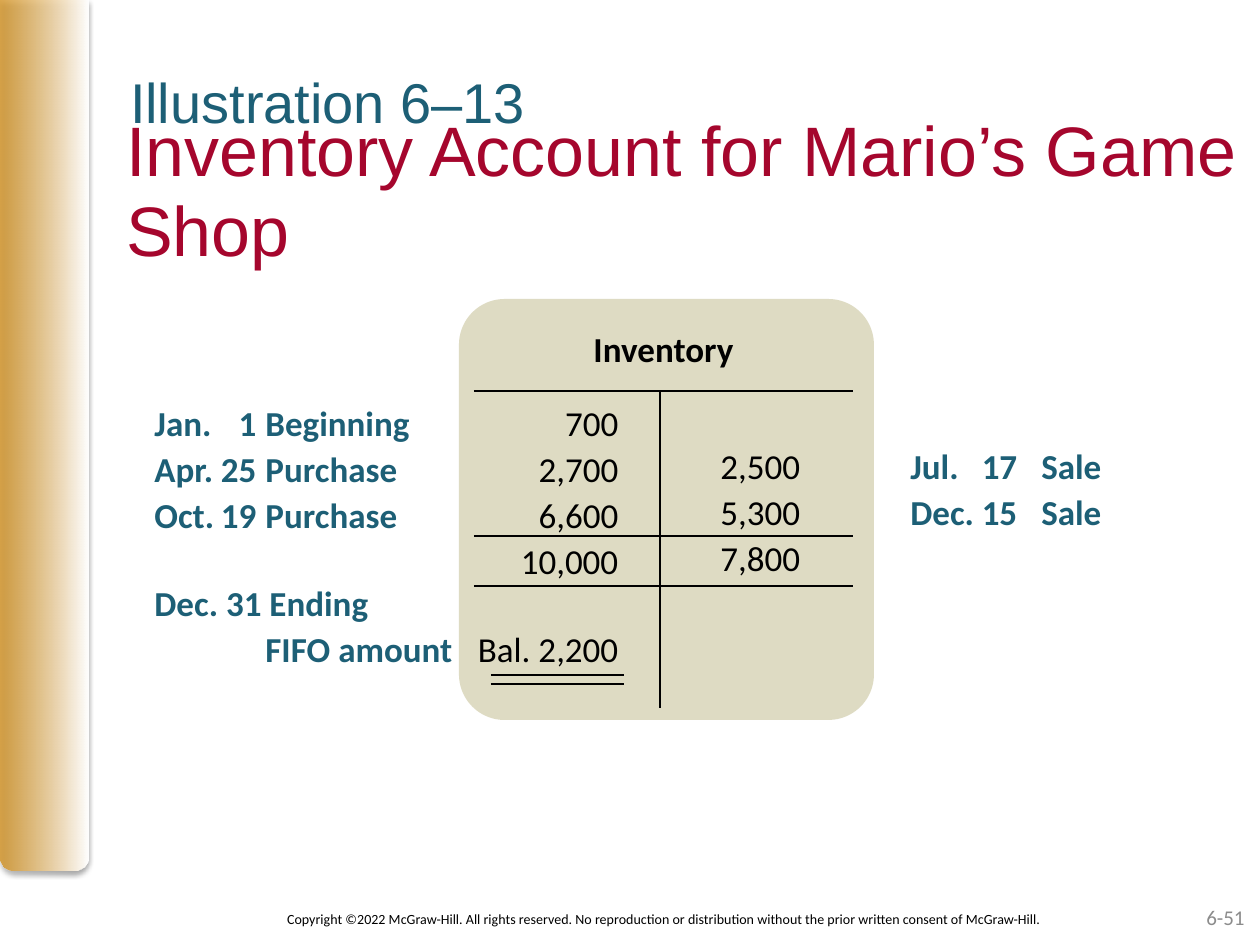
from lxml import etree
from pptx import Presentation
from pptx import util as u
from pptx.dml import color
from pptx.enum import shapes, text
from pptx.oxml import ns

SCALE = 914400 / 126
BLACK, TEAL, RED = "000000", "1D5F76", "A5062D"
LEFT, CENTER, RIGHT = text.PP_ALIGN.LEFT, text.PP_ALIGN.CENTER, text.PP_ALIGN.RIGHT


def px(n):
    """Turn px into EMU."""
    return u.Emu(round(n * SCALE))


def rgb(value):
    """Turn a hex string into a colour."""
    return color.RGBColor.from_string(value)


def sub(parent, tag, **attrs):
    """Append a DrawingML child element with attributes."""
    child = etree.SubElement(parent, ns.qn(tag))
    for name, value in attrs.items():
        child.set(name, str(value))
    return child


def add_run(p, content, size, hex_color, font="Calibri", bold=False):
    """Add one formatted run to a paragraph."""
    r = p.add_run()
    r.text = content
    r.font.size, r.font.name, r.font.bold = u.Pt(size), font, bold
    r.font.color.rgb = rgb(hex_color)


def text_box(s, x, y, w, h, inset=True):
    """Add a wrapping text box and return its frame."""
    tf = s.shapes.add_textbox(px(x), px(y), px(w), px(h)).text_frame
    tf.word_wrap = True
    if not inset:
        clear_insets(tf)
    return tf


def clear_insets(tf):
    """Remove the inner margins of a text frame."""
    tf.margin_left = tf.margin_right = tf.margin_top = tf.margin_bottom = 0


def label(s, box, content, size, hex_color, align, bold=False):
    """Add a one-line label."""
    tf = text_box(s, *box)
    tf.vertical_anchor = text.MSO_ANCHOR.MIDDLE
    tf.paragraphs[0].alignment = align
    add_run(tf.paragraphs[0], content, size, hex_color, bold=bold)


def ledger(s, box, rows, tabs):
    """Add ledger rows of (content, is_caption) runs aligned on tab stops."""
    tf = text_box(s, *box)
    for i, row in enumerate(rows):
        p = tf.add_paragraph() if i else tf.paragraphs[0]
        p.line_spacing = 1.1
        stops = sub(p._p.get_or_add_pPr(), "a:tabLst")
        for pos, align in tabs:
            sub(stops, "a:tab", pos=px(pos), algn=align)
        for content, caption in row:
            add_run(p, content, 20, TEAL if caption else BLACK, bold=caption)


def rule(s, x1, y1, x2, y2):
    """Draw a thin black line."""
    c = s.shapes.add_connector(shapes.MSO_CONNECTOR.STRAIGHT, px(x1), px(y1), px(x2), px(y2))
    c.line.color.rgb = rgb(BLACK)
    c.line.width = u.Pt(0.75)
    sub(c._element.spPr, "a:effectLst")


def side_band(s, x, y, w, h):
    """Draw the gold band with its soft shadow."""
    sp = s.shapes.add_shape(shapes.MSO_SHAPE.ROUND_2_SAME_RECTANGLE, px(x), px(y), px(w), px(h))
    sp._element.spPr.xfrm.set("flipV", "1")
    sp.line.fill.background()
    sp.fill.gradient()
    sp.fill.gradient_angle = 0
    for stop, value, pos in zip(sp.fill.gradient_stops, ("D49323", "FFFFFF"), (0, 1)):
        stop.color.rgb, stop.position = rgb(value), pos
    first = sp._element.spPr.find(".//" + ns.qn("a:srgbClr"))
    sub(first, "a:alpha", val=80000)
    effects = sub(sp._element.spPr, "a:effectLst")
    shadow = sub(effects, "a:outerShdw", blurRad=u.Pt(3.1), dist=u.Pt(1.8), dir=5400000, rotWithShape=0)
    sub(sub(shadow, "a:srgbClr", val=BLACK), "a:alpha", val=35000)


def heading(s, x, y, w, h):
    """Place the title and the illustration number above it."""
    title = s.shapes.title
    title.left, title.top, title.width, title.height = px(x), px(y), px(w), px(h)
    tf = title.text_frame
    clear_insets(tf)
    tf.word_wrap, tf.auto_size = True, text.MSO_AUTO_SIZE.NONE
    tf.vertical_anchor = text.MSO_ANCHOR.TOP
    p = tf.paragraphs[0]
    p.alignment, p.line_spacing = LEFT, 0.95
    add_run(p, "Inventory Account for Mario’s Game Shop", 40, RED, "Arial")
    number = text_box(s, x + 4, y - 46, 726, 58, inset=False)
    add_run(number.paragraphs[0], "Illustration 6–13", 32, TEAL, "Arial")


def account(s, x, y, w, h):
    """Draw the inventory T-account with captions on both sides."""
    panel = s.shapes.add_shape(shapes.MSO_SHAPE.ROUNDED_RECTANGLE, px(x), px(y), px(w), px(h))
    panel.shadow.inherit = False
    panel.adjustments[0] = 0.11
    panel.line.fill.background()
    panel.fill.solid()
    panel.fill.fore_color.rgb = rgb("D4D0B0")
    sub(panel._element.spPr.find(".//" + ns.qn("a:srgbClr")), "a:alpha", val=75000)

    label(s, (x + 15, y + 21, 379, 56), "Inventory", 20, BLACK, CENTER, bold=True)
    for dy in (92, 237, 287):
        rule(s, x + 15, y + dy, x + 394, y + dy)
    for dy in (376, 385):
        rule(s, x + 32, y + dy, x + 165, y + dy)
    rule(s, x + 201, y + 92, x + 201, y + 409)

    debits = [("Jan.\t1\tBeginning", "700"), ("Apr.\t25\tPurchase", "2,700"),
              ("Oct.\t19\tPurchase", "6,600")]
    rows = [[(caption, True), ("\t" + amount, False)] for caption, amount in debits]
    rows.append([("\t\t\t10,000", False)])
    ledger(s, (x - 317, y + 92, 500, 199), rows, [(102, "r"), (111, "l"), (464, "r")])

    credits = [("2,500", "\tJul.\t17\tSale"), ("5,300", "\tDec.\t15\tSale")]
    rows = [[(amount, False), (caption, True)] for amount, caption in credits]
    rows.append([("7,800", False)])
    ledger(s, (x + 249, y + 135, 489, 153), rows, [(190, "l"), (297, "r"), (321, "l")])

    rows = [[("Dec. 31 Ending", True)], [("\tFIFO amount", True), ("\tBal. 2,200", False)]]
    ledger(s, (x - 317, y + 272, 500, 106), rows, [(111, "l"), (464, "r")])


def footer(s, x, y, w, h):
    """Place the copyright line and the page number."""
    label(s, (x, y + 12, 961, 30), "Copyright ©2022 McGraw-Hill. All rights reserved. No reproduction or "
          "distribution without the prior written consent of McGraw-Hill.", 8, BLACK, CENTER)
    label(s, (x + w - 294, y, 294, h), "6-51", 12, "8C8C8C", RIGHT)


def main():
    """Build the slide."""
    prs = Presentation()
    prs.slide_width, prs.slide_height = px(1260), px(945)
    s = prs.slides.add_slide(prs.slide_layouts[5])
    side_band(s, 0, 0, 88, 871)
    footer(s, 184, 892, 1073, 50)
    heading(s, 126, 113, 1134, 158)
    account(s, 459, 299, 415, 421)
    prs.save("out.pptx")


if __name__ == "__main__":
    main()
